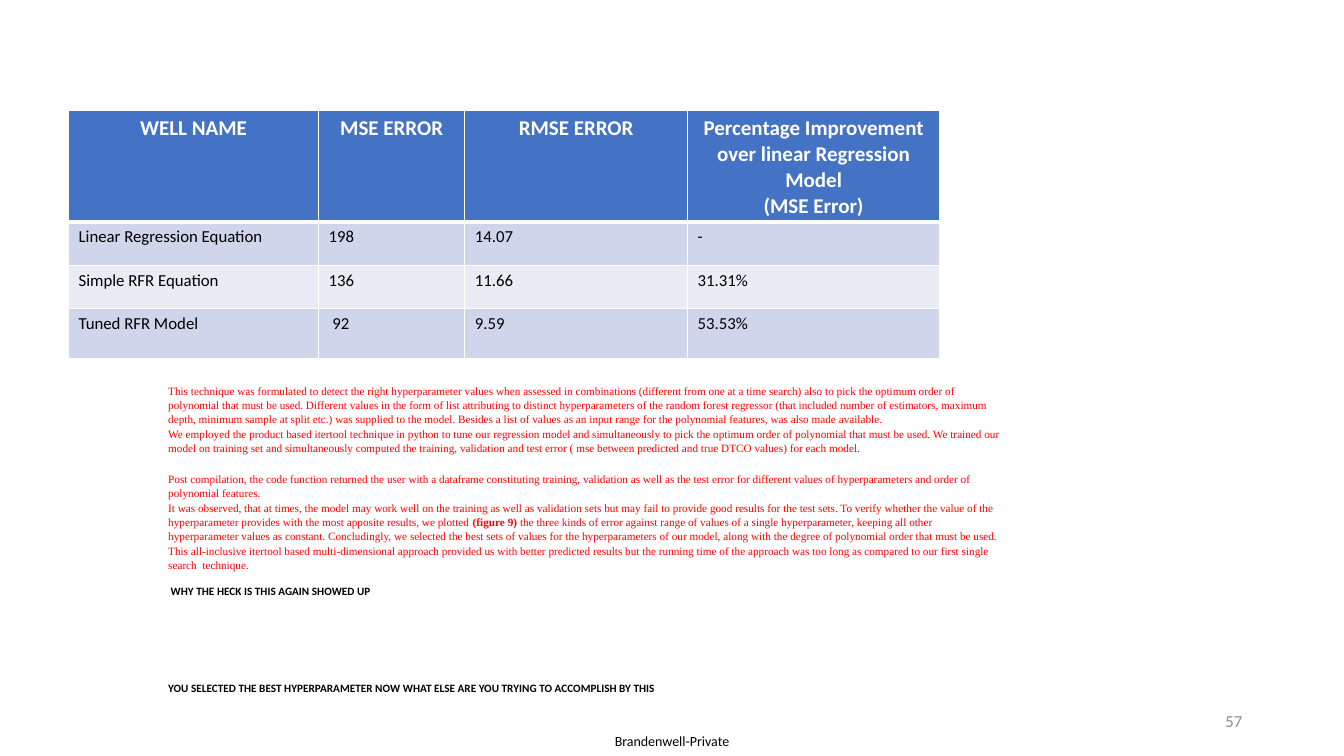
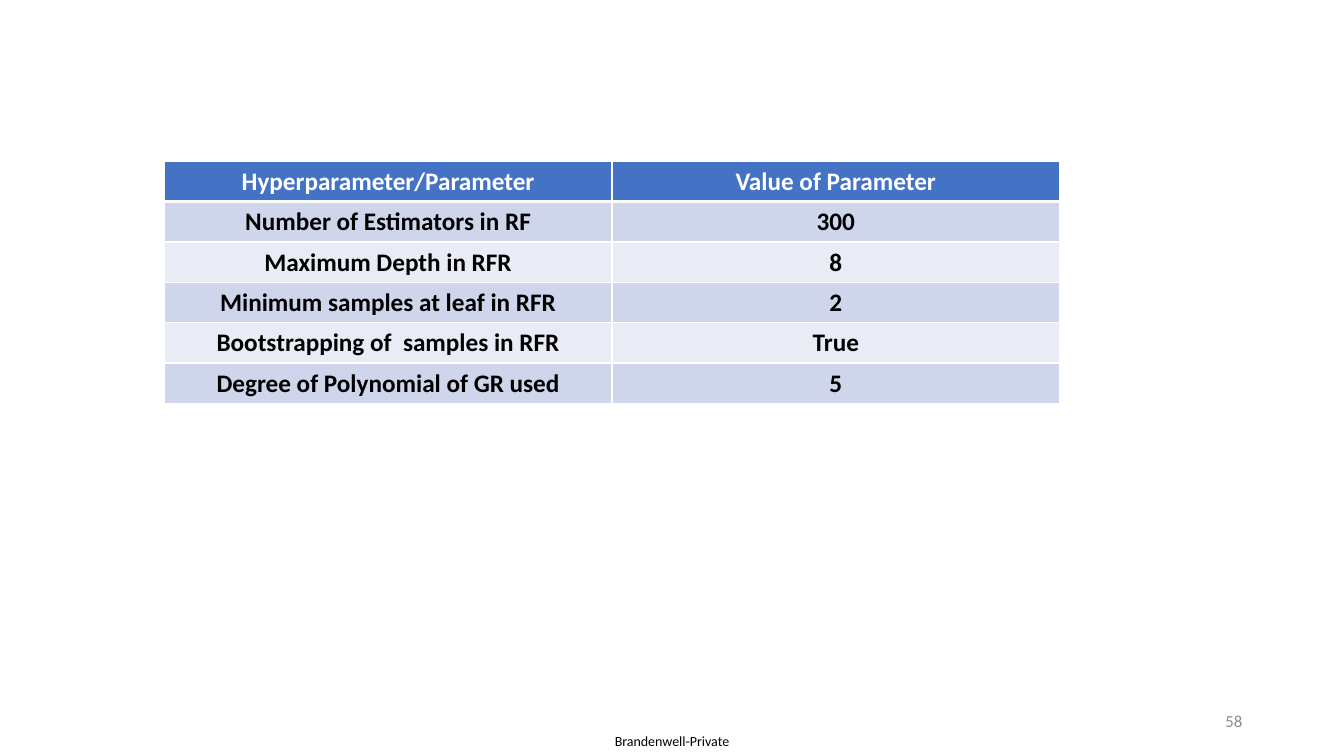
"""Build two slides that report the regression errors and the tuned hyperparameters."""
from pptx import Presentation
from pptx.dml.color import RGBColor as RGB
from pptx.enum.text import MSO_ANCHOR as ANCHOR, PP_ALIGN as ALIGN
from pptx.oxml import parse_xml
from pptx.oxml.ns import nsdecls
from pptx.util import Inches, Pt

COLORS = {
    "header": "4472C4",
    "band_dark": "CFD5EA",
    "band_light": "E9EBF5",
    "white": "FFFFFF",
    "black": "000000",
    "red": "FF0000",
    "gray": "8C8C8C",
}
SANS, SERIF = "Calibri", "Times New Roman"
FOOTER = "Brandenwell-Private"

ERROR_ROWS = [
    ("WELL NAME", "MSE ERROR", "RMSE ERROR",
     "Percentage Improvement over linear Regression Model\n(MSE Error)"),
    ("Linear Regression Equation", "198", "14.07", "-"),
    ("Simple RFR Equation", "136", "11.66", "31.31%"),
    ("Tuned RFR Model", " 92", "9.59", "53.53%"),
]
PARAMETER_ROWS = [
    ("Hyperparameter/Parameter", "Value of Parameter"),
    ("Number of Estimators in RF", "300"),
    ("Maximum Depth in RFR", "8"),
    ("Minimum samples at leaf in RFR", "2"),
    ("Bootstrapping of  samples in RFR", "True"),
    ("Degree of Polynomial of GR used", "5"),
]
METHOD = [
    ["This technique was formulated to detect the right hyperparameter values when assessed in "
     "combinations (different from one at a time search) also to pick the optimum order of "
     "polynomial that must be used. Different values in the form of list attributing to distinct "
     "hyperparameters of the random forest regressor (that included number of estimators, maximum "
     "depth, minimum sample at split etc.) was supplied to the model. Besides a list of values as "
     "an input range for the polynomial features, was also made available."],
    ["We employed the product based itertool technique in python to tune our regression model and "
     "simultaneously to pick the optimum order of polynomial that must be used. We trained our "
     "model on training set and simultaneously computed the training, validation and test error "
     "( mse between predicted and true DTCO values) for each model."],
    ["Post compilation, the code function returned the user with a dataframe constituting "
     "training, validation as well as the test error for different values of hyperparameters and "
     "order of polynomial features."],
    ["It was observed, that at times, the model may work well on the training as well as "
     "validation sets but may fail to provide good results for the test sets. To verify whether "
     "the value of the hyperparameter provides with the most apposite results, we plotted ",
     "(figure 9)",
     " the three kinds of error against range of values of a single hyperparameter, keeping all "
     "other hyperparameter values as constant. Concludingly, we selected the best sets of values "
     "for the hyperparameters of our model, along with the degree of polynomial order that must "
     "be used."],
    ["This all-inclusive itertool based multi-dimensional approach provided us with better "
     "predicted results but the running time of the approach was too long as compared to our "
     "first single search  technique."],
]
METHOD_GAPS = {2: 12}
REMARKS = [
    (" WHY THE HECK IS THIS AGAIN SHOWED UP", 9),
    ("YOU SELECTED THE BEST HYPERPARAMETER NOW WHAT ELSE ARE YOU TRYING TO ACCOMPLISH BY THIS", 60),
]


def style_font(font, size, color, name=SANS, bold=False):
    """Set the face, size, colour and weight of a font."""
    font.name, font.size, font.bold = name, Pt(size), bold
    font.color.rgb = RGB.from_string(COLORS[color])


def add_box(slide, left, top, width, height, anchor=ANCHOR.TOP):
    """Add a wrapping text box and return its text frame."""
    tf = slide.shapes.add_textbox(*map(Inches, (left, top, width, height))).text_frame
    tf.word_wrap = True
    tf.vertical_anchor = anchor
    return tf


def add_label(slide, text, place, size, color, align, inset=0.1):
    """Add a one-line label centred vertically in its box."""
    tf = add_box(slide, *place, anchor=ANCHOR.MIDDLE)
    tf.margin_left = tf.margin_right = Inches(inset)
    tf.margin_top = tf.margin_bottom = 0
    p = tf.paragraphs[0]
    p.text, p.alignment = text, align
    style_font(p.runs[0].font, size, color)


def add_slide(prs, number):
    """Add a blank slide with the shared footer and its page number."""
    slide = prs.slides.add_slide(prs.slide_layouts[6])
    add_label(slide, FOOTER, (5.89, 7.21, 1.55, 0.29), 10, "black", ALIGN.CENTER, 0)
    add_label(slide, str(number), (9.42, 6.95, 3, 0.4), 12, "gray", ALIGN.RIGHT)
    return slide


def set_borders(cell, top, bottom):
    """Draw white cell borders with the given top and bottom widths."""
    tc_pr = cell._tc.get_or_add_tcPr()
    widths = {"lnL": 1, "lnR": 1, "lnT": top, "lnB": bottom}
    for i, (tag, width) in enumerate(widths.items()):
        tc_pr.insert(i, parse_xml(
            f'<a:{tag} {nsdecls("a")} w="{Pt(width)}"><a:solidFill>'
            f'<a:srgbClr val="{COLORS["white"]}"/></a:solidFill></a:{tag}>'))


def fill_cell(cell, text, row, size, bold, align):
    """Write and style one cell according to its row."""
    header = row == 0
    fill = "header" if header else "band_dark" if row % 2 else "band_light"
    cell.fill.solid()
    cell.fill.fore_color.rgb = RGB.from_string(COLORS[fill])
    set_borders(cell, 3 if row == 1 else 1, 3 if header else 1)
    p = cell.text_frame.paragraphs[0]
    p.text, p.alignment = text, ALIGN.CENTER if header else align
    for r in p.runs:
        style_font(r.font, size, "white" if header else "black", bold=bold)


def add_banded_table(slide, rows, left, top, widths, heights, sizes, bold, align):
    """Add a table with a blue header row and alternating bands."""
    box = map(Inches, (left, top, sum(widths), sum(heights)))
    table = slide.shapes.add_table(len(rows), len(widths), *box).table
    for column, width in zip(table.columns, widths):
        column.width = Inches(width)
    for i, (values, height) in enumerate(zip(rows, heights)):
        table.rows[i].height = Inches(height)
        for j, text in enumerate(values):
            fill_cell(table.cell(i, j), text, i, sizes[min(i, 1)], bold or i == 0, align)


def add_method_text(slide):
    """Add the red method description and the bold remarks under it."""
    tf = add_box(slide, 1.57, 3.75, 8.5, 3.25)
    for i, spans in enumerate(METHOD):
        p = tf.add_paragraph() if i else tf.paragraphs[0]
        p.line_spacing = 1.07
        if i in METHOD_GAPS:
            p.space_before = Pt(METHOD_GAPS[i])
        for j, text in enumerate(spans):
            r = p.add_run()
            r.text = text
            style_font(r.font, 8, "red", SERIF, bold=j == 1)
    for text, gap in REMARKS:
        p = tf.add_paragraph()
        p.text, p.space_before = text, Pt(gap)
        style_font(p.runs[0].font, 8, "black", bold=True)


def main():
    """Build and save the presentation."""
    prs = Presentation()
    prs.slide_width, prs.slide_height = Inches(13.33), Inches(7.5)

    s = add_slide(prs, 57)
    add_banded_table(s, ERROR_ROWS, 0.68, 1.1, [2.48, 1.45, 2.21, 2.5],
                     [1.1, 0.43, 0.43, 0.5], (15, 12), False, ALIGN.LEFT)
    add_method_text(s)

    s = add_slide(prs, 58)
    add_banded_table(s, PARAMETER_ROWS, 1.63, 1.6, [4.44] * 2,
                     [0.4] * len(PARAMETER_ROWS), (18, 18), True, ALIGN.CENTER)

    prs.save("out.pptx")


if __name__ == "__main__":
    main()
